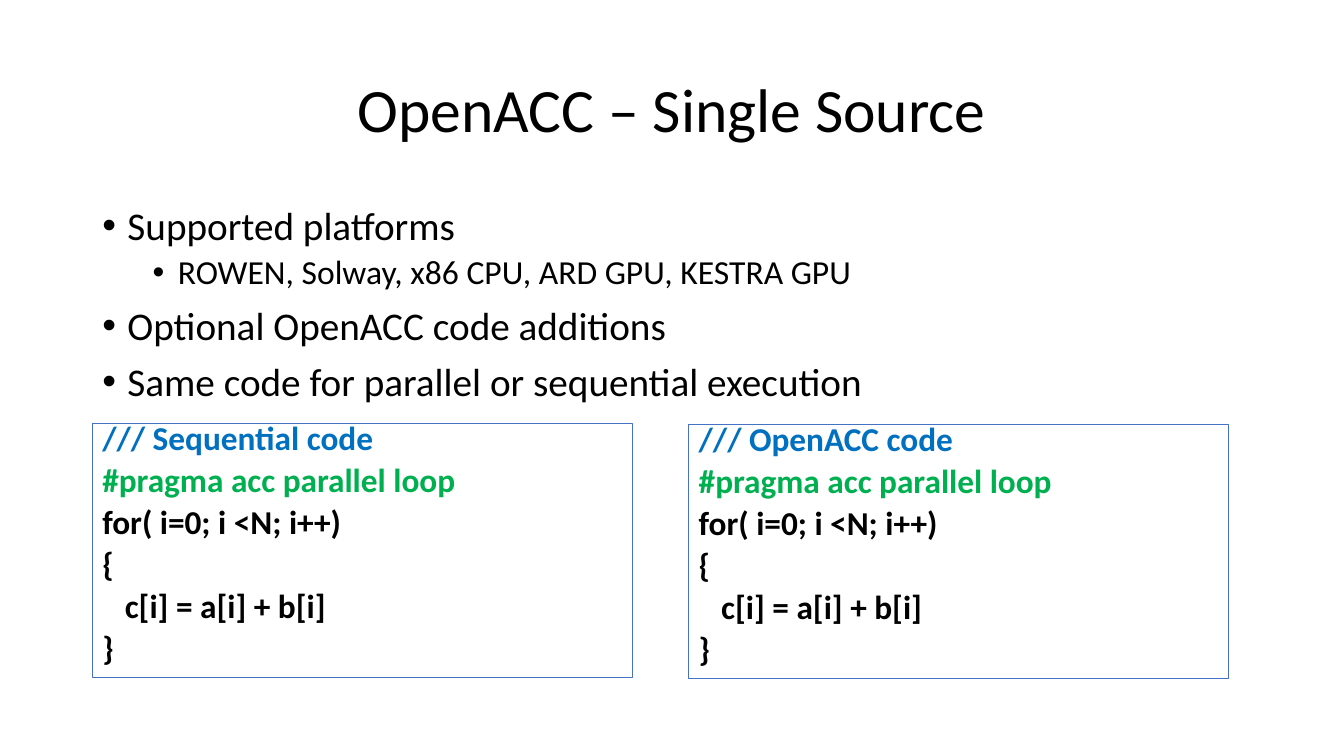
from lxml import etree
from pptx import Presentation
from pptx.dml.color import RGBColor
from pptx.enum.shapes import MSO_SHAPE
from pptx.enum.text import MSO_ANCHOR, PP_ALIGN
from pptx.oxml.ns import qn
from pptx.util import Pt

EMU_PER_PX = 9525
FONT = "Calibri"
BLACK = RGBColor(0x00, 0x00, 0x00)
BLUE = RGBColor(0x00, 0x70, 0xC0)
GREEN = RGBColor(0x00, 0xB0, 0x50)
BORDER = RGBColor(0x44, 0x72, 0xC4)
RECTANGLE = MSO_SHAPE.RECTANGLE
TOP, MIDDLE = MSO_ANCHOR.TOP, MSO_ANCHOR.MIDDLE
LEFT, CENTER = PP_ALIGN.LEFT, PP_ALIGN.CENTER

# Bullet level: text size, space before, left margin in px
LEVELS = [(28, 10, 24), (24, 5, 72)]
HANGING = 24

BULLETS = [
    (0, "Supported platforms"),
    (1, "ROWEN, Solway, x86 CPU, ARD GPU, KESTRA GPU"),
    (0, "Optional OpenACC code additions"),
    (0, "Same code for parallel or sequential execution"),
]
LOOP_LINES = [
    ("#pragma acc parallel loop", GREEN),
    ("for( i=0; i <N; i++)", BLACK),
    ("{", BLACK),
    ("   c[i] = a[i] + b[i]", BLACK),
    ("}", BLACK),
]


def px(length):
    return length * EMU_PER_PX


def set_all(target, values):
    for name, value in values.items():
        setattr(target, name, value)


def add_text_box(page, left, top, width, height, anchor=TOP):
    box = page.shapes.add_textbox(px(left), px(top), px(width), px(height))
    set_all(box.text_frame, {"word_wrap": True, "vertical_anchor": anchor})
    return box.text_frame


def add_para(frame, index, text, size, color=BLACK, bold=False,
             spacing=0.9, before=0, align=LEFT):
    para = frame.add_paragraph() if index else frame.paragraphs[0]
    set_all(para, {"alignment": align, "line_spacing": spacing,
                   "space_before": Pt(before if index else 0)})
    span = para.add_run()
    span.text = text
    set_all(span.font, {"name": FONT, "size": Pt(size), "bold": bold})
    span.font.color.rgb = color
    return para


def add_bullet(para, margin):
    properties = para._p.get_or_add_pPr()
    properties.set("marL", str(px(margin)))
    properties.set("indent", str(-px(HANGING)))
    etree.SubElement(properties, qn("a:buFont")).set("typeface", "Arial")
    etree.SubElement(properties, qn("a:buChar")).set("char", "•")


def add_title(page, text):
    frame = add_text_box(page, 88, 38, 1104, 139, MIDDLE)
    add_para(frame, 0, text, 44, align=CENTER)


def add_bullet_list(page, items):
    frame = add_text_box(page, 88, 192, 1104, 210)
    for index, (level, text) in enumerate(items):
        size, before, margin = LEVELS[level]
        para = add_para(frame, index, text, size, before=before)
        para.level = level
        add_bullet(para, margin)


def add_code_panel(page, left, top, heading):
    panel = page.shapes.add_shape(RECTANGLE, px(left), px(top), px(514), px(242))
    panel.shadow.inherit = False
    panel.fill.background()
    panel.line.color.rgb = BORDER
    panel.line.width = Pt(0.75)
    frame = panel.text_frame
    set_all(frame, {"word_wrap": True, "vertical_anchor": TOP})
    for index, (text, color) in enumerate([(heading, BLUE)] + LOOP_LINES):
        add_para(frame, index, text, 23.8, color, bold=True, spacing=0.7, before=10)


def main():
    deck = Presentation()
    set_all(deck, {"slide_width": px(1280), "slide_height": px(720)})
    page = deck.slides.add_slide(deck.slide_layouts[6])

    # Heading and key points
    add_title(page, "OpenACC – Single Source")
    add_bullet_list(page, BULLETS)

    # Code comparison
    add_code_panel(page, 656, 404, "/// OpenACC code")
    add_code_panel(page, 88, 403, "/// Sequential code")

    deck.save("out.pptx")


if __name__ == "__main__":
    main()
